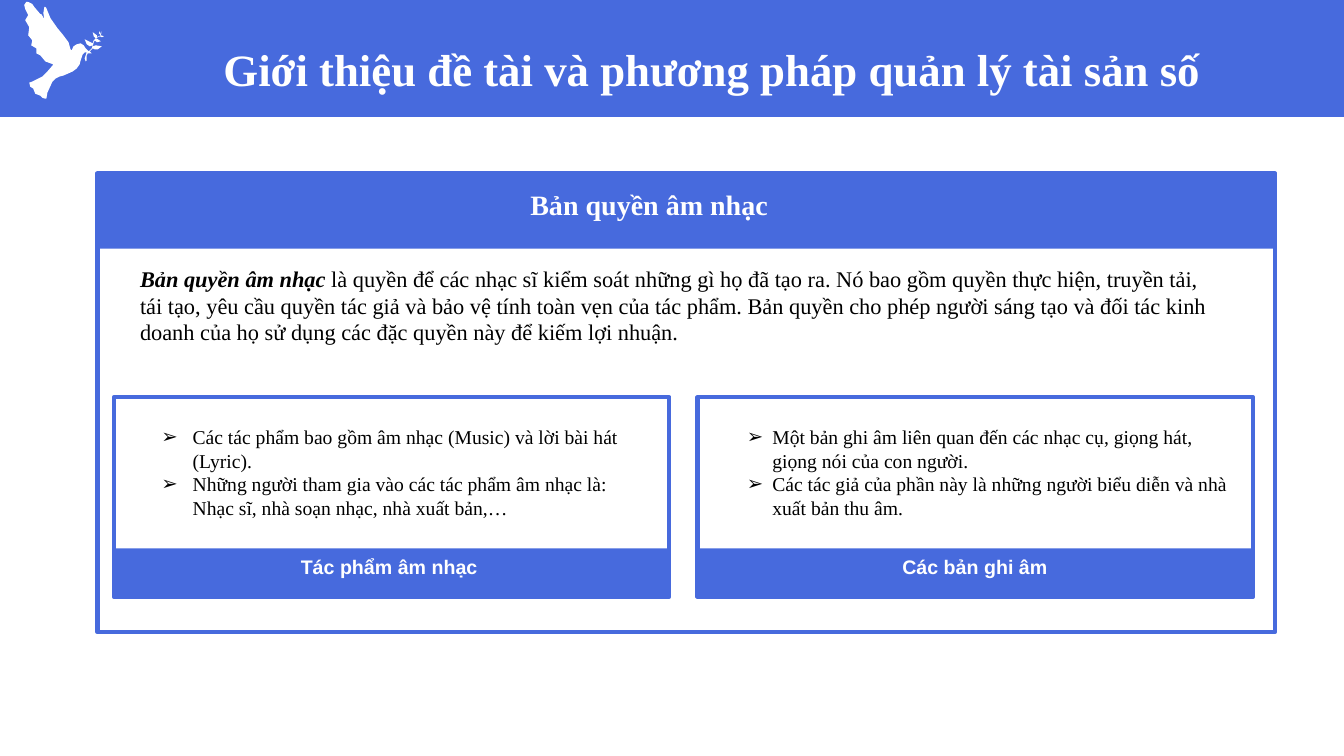
import pptx
import pptx.dml.color
import pptx.enum.shapes
import pptx.enum.text
import pptx.oxml.xmlchemy
import pptx.util
from pptx.util import Cm

BLUE = pptx.dml.color.RGBColor(0x47, 0x6A, 0xDD)
WHITE = pptx.dml.color.RGBColor(0xFF, 0xFF, 0xFF)
BLACK = pptx.dml.color.RGBColor(0x00, 0x00, 0x00)
SERIF, SANS = "Times New Roman", "Arial"
LEFT = pptx.enum.text.PP_ALIGN.LEFT
CENTER = pptx.enum.text.PP_ALIGN.CENTER

# Dove outline, in hundredths of an inch from the slide corner
DOVE = [
    (35, 93), (33, 88), (30, 86), (29, 82), (32, 81), (42, 76), (47, 71), (53, 64),
    (45, 61), (40, 55), (36, 53), (36, 48), (31, 45), (32, 40), (28, 35), (29, 27),
    (25, 20), (28, 15), (25, 9), (24, 5), (26, 2), (28, 2), (32, 4), (34, 7),
    (40, 14), (41, 14), (44, 19), (43, 13), (44, 7), (45, 7), (46, 8), (50, 18),
    (57, 28), (62, 34), (68, 42), (70, 49), (71, 50), (73, 46), (76, 43.5), (80, 43),
    (83, 45), (85, 48), (88, 51), (91, 48), (92, 45), (89, 46), (86, 44), (84, 39),
    (88, 41), (92, 43), (93, 40), (95, 38), (93, 36), (92, 32), (96, 35), (96, 37),
    (100, 35), (98, 33), (99, 31), (100, 34), (101, 31), (100, 35), (103, 36), (101, 37),
    (99, 36), (95, 38), (97, 39), (100, 41), (96, 42), (94, 40), (93, 42), (92, 46),
    (95, 45), (101, 46), (97, 49), (94, 49), (92, 48), (89, 51), (91, 53), (87, 53),
    (86, 55), (86, 60), (85, 61), (84, 58), (86, 52), (84, 52), (82, 54), (81, 57),
    (80, 60), (79, 64), (76, 68), (72, 71), (63, 75), (59, 76), (55, 78), (52, 81),
    (47, 92), (46, 98), (45, 98), (42, 97), (40, 95),
]


def write(para, text, size, color=BLACK, font=SERIF, bold=False, italic=False, align=LEFT):
    para.alignment = align
    span = para.add_run()
    span.text = text
    span.font.name = font
    span.font.size = pptx.util.Pt(size)
    span.font.bold = bold
    span.font.italic = italic
    span.font.color.rgb = color


def add_box(left, top, width, height, kind):
    """Add a text box, or a blue rectangle that is either filled or outlined."""
    area = Cm(left), Cm(top), Cm(width), Cm(height)
    if kind == "text":
        box = page.shapes.add_textbox(*area)
        box.text_frame.word_wrap = True
        box.text_frame.auto_size = pptx.enum.text.MSO_AUTO_SIZE.SHAPE_TO_FIT_TEXT
        return box
    box = page.shapes.add_shape(pptx.enum.shapes.MSO_SHAPE.RECTANGLE, *area)
    box.shadow.inherit = False
    if kind == "filled":
        box.fill.solid()
        box.fill.fore_color.rgb = BLUE
        box.line.fill.background()
    else:
        box.fill.background()
        box.line.color.rgb = BLUE
        box.line.width = pptx.util.Pt(3)
    return box


deck = pptx.Presentation()
deck.slide_width, deck.slide_height = Cm(33.87), Cm(19.05)
page = deck.slides.add_slide(deck.slide_layouts.get_by_name("Two Content"))
title, *lists = page.placeholders

# Banner and dove, behind the title
banner = add_box(0, 0, 33.87, 2.95, "filled")
outline = page.shapes.build_freeform(*DOVE[0], scale=Cm(2.54) / 100)
outline.add_line_segments(DOVE[1:], close=True)
dove = outline.convert_to_shape()
dove.shadow.inherit = False
dove.fill.solid()
dove.fill.fore_color.rgb = WHITE
dove.line.fill.background()
for backdrop in (banner, dove):
    title.element.addprevious(backdrop.element)

title.left, title.top, title.width, title.height = Cm(2.9), Cm(0.81), Cm(30.1), Cm(2.01)
title.text_frame.auto_size = pptx.enum.text.MSO_AUTO_SIZE.NONE
title.text_frame.vertical_anchor = pptx.enum.text.MSO_ANCHOR.MIDDLE
heading = title.text_frame.paragraphs[0]
heading.line_spacing = 0.9
heading.space_before = pptx.util.Pt(10)
write(heading, "Giới thiệu đề tài và phương pháp quản lý tài sản số", 32, WHITE,
      bold=True, align=CENTER)

# Main panel
add_box(2.46, 4.37, 29.67, 11.56, "outlined")
add_box(2.46, 4.37, 29.67, 1.9, "filled")
panel_heading = add_box(4.09, 4.6, 24.54, 1.12, "text")
write(panel_heading.text_frame.paragraphs[0], "Bản quyền âm nhạc", 20, WHITE,
      bold=True, align=CENTER)

intro = add_box(3.28, 6.55, 27.84, 2.31, "text").text_frame.paragraphs[0]
write(intro, "Bản quyền âm nhạc", 16, bold=True, italic=True)
write(intro, " là quyền để các nhạc sĩ kiểm soát những gì họ đã tạo ra. Nó bao gồm quyền thực "
      "hiện, truyền tải, tái tạo, yêu cầu quyền tác giả và bảo vệ tính toàn vẹn của tác phẩm. "
      "Bản quyền cho phép người sáng tạo và đối tác kinh doanh của họ sử dụng các đặc quyền "
      "này để kiếm lợi nhuận.", 16)

# Cards: frame left, text left, bullet indent, caption, items
cards = [
    (2.87, 3.81, 0.79, "Tác phẩm âm nhạc", [
        "Các tác phẩm bao gồm âm nhạc (Music) và lời bài hát (Lyric).",
        "Những người tham gia vào các tác phẩm âm nhạc là: Nhạc sĩ, nhà soạn nhạc, "
        "nhà xuất bản,…"]),
    (17.58, 18.57, 0.64, "Các bản ghi âm", [
        "Một bản ghi âm liên quan đến các nhạc cụ, giọng hát, giọng nói của con người.",
        "Các tác giả của phần này là những người biểu diễn và nhà xuất bản thu âm."]),
]
for body, (frame_left, text_left, indent, caption, items) in zip(lists, cards):
    add_box(frame_left, 10.01, 14, 5.03, "outlined")
    add_box(frame_left, 13.82, 14, 1.22, "filled")
    caption_box = add_box(text_left, 13.87, 12, 0.86, "text")
    write(caption_box.text_frame.paragraphs[0], caption, 14, WHITE, SANS,
          bold=True, align=CENTER)

    body.left, body.top, body.width, body.height = Cm(text_left), Cm(10.59), Cm(12.75), Cm(2.64)
    body.text_frame.auto_size = pptx.enum.text.MSO_AUTO_SIZE.NONE
    for number, item in enumerate(items):
        para = body.text_frame.add_paragraph() if number else body.text_frame.paragraphs[0]
        para.space_before = pptx.util.Pt(0)
        write(para, item, 14)
        properties = para._p.get_or_add_pPr()
        properties.set("marL", str(Cm(indent)))
        properties.set("indent", str(-Cm(indent)))
        bullet = pptx.oxml.xmlchemy.OxmlElement("a:buChar")
        bullet.set("char", "➢")
        properties.append(bullet)

deck.save("out.pptx")
